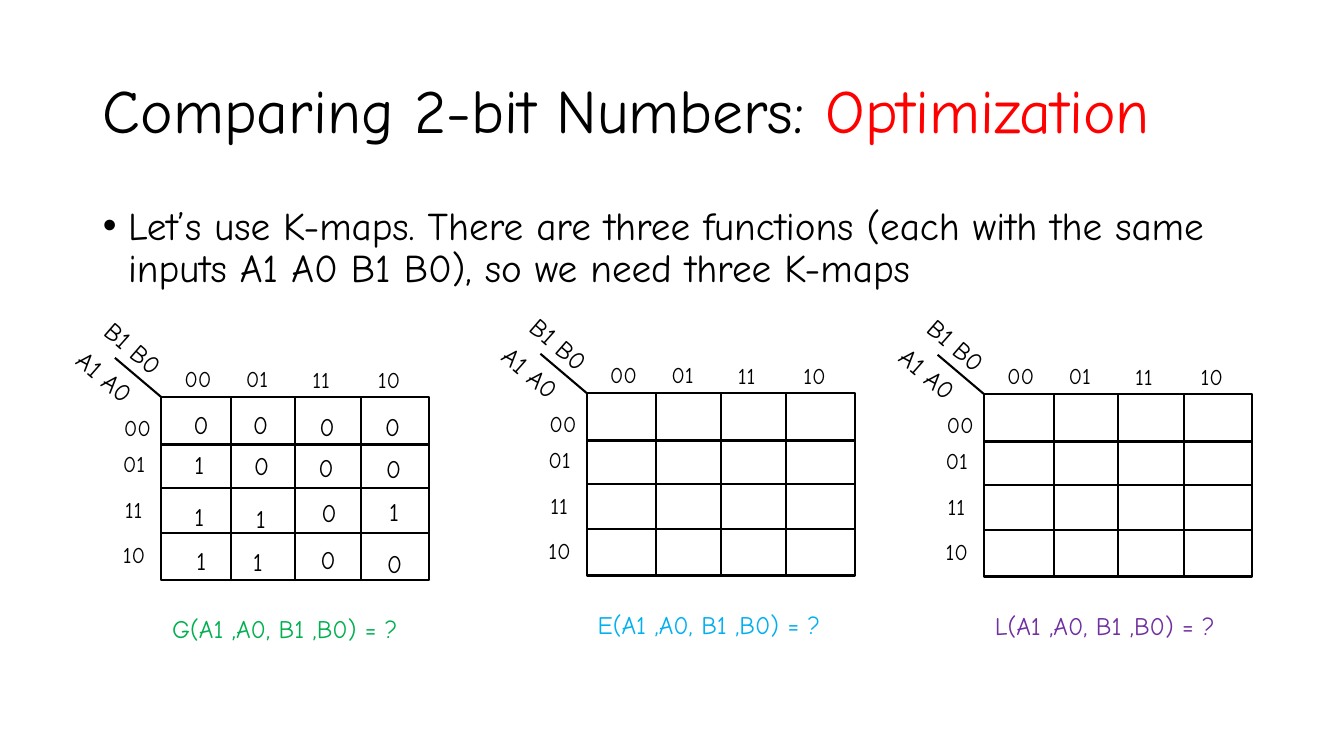
from pptx import Presentation
from pptx.dml.color import RGBColor
from pptx.enum.shapes import MSO_CONNECTOR, MSO_SHAPE
from pptx.enum.text import MSO_ANCHOR, MSO_AUTO_SIZE, PP_ALIGN
from pptx.oxml.ns import qn
from pptx.util import Inches, Pt
from lxml.etree import SubElement

FONT = "Comic Neue"
BLACK = RGBColor(0x00, 0x00, 0x00)
RED = RGBColor(0xFF, 0x00, 0x00)
GREEN = RGBColor(0x00, 0xB0, 0x50)
BLUE = RGBColor(0x00, 0xB0, 0xF0)
PURPLE = RGBColor(0x70, 0x30, 0xA0)

TITLE = (("Comparing 2-bit Numbers: ", BLACK), ("Optimization", RED))
BODY = ("Let’s use K-maps. There are three functions (each with the same "
        "inputs A1 A0 B1 B0), so we need three K-maps")

MAPS = [
    ("G", 1.6, 3.94, GREEN),
    ("E", 5.82, 3.9, BLUE),
    ("L", 9.76, 3.91, PURPLE),
]
MAP_W, MAP_H = 2.66, 1.81
COLUMN_LINES = (0.69, 1.98)
ROW_LINES = (0.47, 1.35)

WIDTHS = {"0": 0.36, "1": 0.32, "00": 0.48, "01": 0.44, "11": 0.41, "10": 0.44}
VARIABLES = [("B1 B0", -0.7, -0.68, 0.86, 40.8), ("A1 A0", -0.99, -0.35, 0.99, 40.3)]
CODES = [
    ("00", 0.13, -0.37), ("01", 0.74, -0.37), ("11", 1.4, -0.36), ("10", 2.05, -0.36),
    ("00", -0.47, 0.12), ("01", -0.48, 0.48), ("11", -0.46, 0.93), ("10", -0.48, 1.38),
]
G_VALUES = [
    ("0", 0.22, 0.07), ("0", 0.81, 0.07), ("0", 1.47, 0.09), ("0", 2.12, 0.09),
    ("1", 0.23, 0.47), ("0", 0.82, 0.48), ("0", 1.46, 0.5), ("0", 2.13, 0.51),
    ("1", 0.23, 0.98), ("1", 0.84, 1.0), ("0", 1.49, 0.94), ("1", 2.16, 0.93),
    ("1", 0.25, 1.42), ("1", 0.81, 1.43), ("0", 1.48, 1.41), ("0", 2.14, 1.45),
]


def add_label(s, text, x, y, w, size=18, color=BLACK, rotation=0):
    """Add one unwrapped line of text."""
    sp = s.shapes.add_textbox(Inches(x), Inches(y), Inches(w), Inches(0.4 if size == 18 else 0.37))
    sp.rotation = rotation
    tf = sp.text_frame
    tf.word_wrap = False
    tf.auto_size = MSO_AUTO_SIZE.SHAPE_TO_FIT_TEXT
    p = tf.paragraphs[0]
    p.text = text
    p.font.name, p.font.size = FONT, Pt(size)
    p.font.color.rgb = color


def add_line(s, x1, y1, x2, y2):
    """Add a black line and return it."""
    line = s.shapes.add_connector(MSO_CONNECTOR.STRAIGHT, Inches(x1), Inches(y1), Inches(x2), Inches(y2))
    line.line.color.rgb = BLACK
    line.line.width = Pt(1.5)
    SubElement(line._element.spPr, qn("a:effectLst"))
    return line


def add_map(s, name, x, y, color):
    """Draw one K-map with its axis labels and caption."""
    sp = s.shapes.add_shape(MSO_SHAPE.RECTANGLE, Inches(x), Inches(y), Inches(MAP_W), Inches(MAP_H))
    sp.shadow.inherit = False
    sp.fill.background()
    sp.line.color.rgb = BLACK
    sp.line.width = Pt(1.5)
    right, bottom = x + MAP_W, y + MAP_H
    for start, end in ((0, 2), (1, 3)):
        line = add_line(s, x, y, right, bottom)
        line.begin_connect(sp, start)
        line.end_connect(sp, end)
    for dx in COLUMN_LINES:
        add_line(s, x + dx, y, x + dx, bottom)
    for dy in ROW_LINES:
        add_line(s, x, y + dy, right, y + dy)
    add_line(s, x, y, x - 0.46, y - 0.39)
    for text, dx, dy, w, rotation in VARIABLES:
        add_label(s, text, x + dx, y + dy, w, rotation=rotation)
    for text, dx, dy in CODES:
        add_label(s, text, x + dx, y + dy, WIDTHS[text], size=16)
    add_label(s, f"{name}(A1 ,A0, B1 ,B0) = ?", x + 0.01, y + 2.1, 2.63, color=color)


def place(sp, x, y, w, h, size):
    """Position a placeholder and return its formatted first paragraph."""
    sp.left, sp.top, sp.width, sp.height = Inches(x), Inches(y), Inches(w), Inches(h)
    tf = sp.text_frame
    tf.word_wrap = True
    tf.auto_size = MSO_AUTO_SIZE.NONE
    p = tf.paragraphs[0]
    p.alignment = PP_ALIGN.LEFT
    p.line_spacing = 0.9
    p.font.name, p.font.size = FONT, Pt(size)
    return p


def main():
    """Build the slide."""
    prs = Presentation()
    prs.slide_width, prs.slide_height = Inches(13.33), Inches(7.5)
    s = prs.slides.add_slide(prs.slide_layouts[1])

    title = s.shapes.title
    p = place(title, 0.92, 0.4, 11.9, 1.45, 44)
    title.text_frame.vertical_anchor = MSO_ANCHOR.MIDDLE
    for text, color in TITLE:
        r = p.add_run()
        r.text = text
        r.font.color.rgb = color

    p = place(s.placeholders[1], 0.92, 2, 11.5, 4.76, 28)
    p.text = BODY
    p.font.color.rgb = BLACK
    p.space_before = Pt(10)
    pPr = p._p.get_or_add_pPr()
    pPr.set("marL", str(Inches(0.25)))
    pPr.set("indent", str(Inches(-0.25)))

    for name, x, y, color in MAPS:
        add_map(s, name, x, y, color)
    _, x, y, _ = MAPS[0]
    for text, dx, dy in G_VALUES:
        add_label(s, text, x + dx, y + dy, WIDTHS[text])

    prs.save("out.pptx")


if __name__ == "__main__":
    main()
